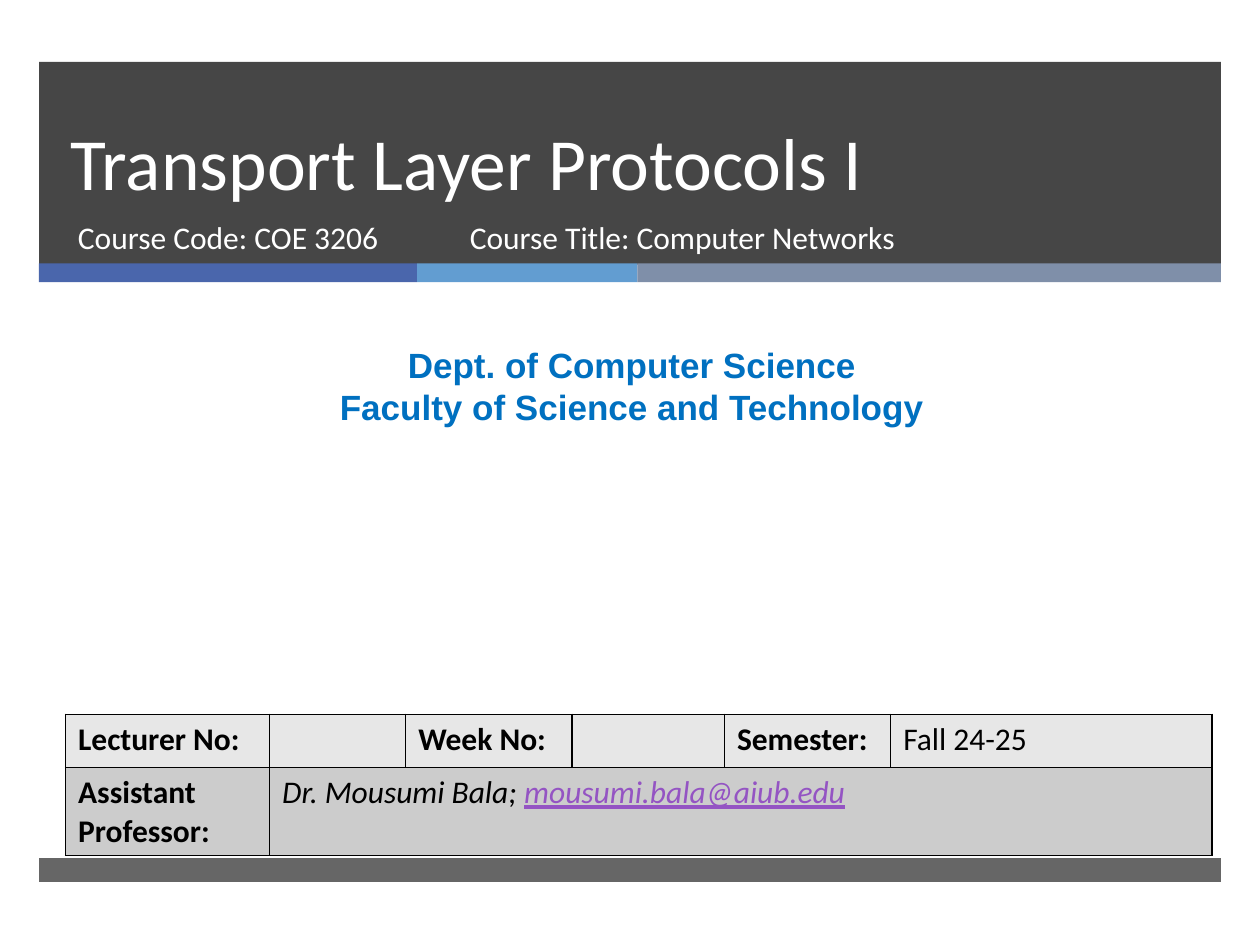
from lxml.etree import SubElement
from pptx import Presentation
from pptx.dml.color import RGBColor
from pptx.enum.shapes import MSO_SHAPE
from pptx.enum.text import MSO_ANCHOR, MSO_AUTO_SIZE, PP_ALIGN
from pptx.oxml.ns import qn
from pptx.util import Inches, Pt

COLORS = {
    "dark": "262626", "indigo": "4A66AC", "sky": "629DD1", "slate": "7F8FA9",
    "white": "FFFFFF", "black": "000000", "department": "0070C0",
    "email": "9454C3", "light_row": "E7E7E7", "dark_row": "CCCCCC",
}
MARGIN = 0.31
BAND_WIDTH = 9.38
STRIPES = [("indigo", 3), ("sky", 1.75), ("slate", 4.63)]
COLUMN_WIDTHS = [1.62, 1.08, 1.32, 1.21, 1.32, 2.55]
ROW_HEIGHTS = [0.42, 0.69]
DETAILS = ["Lecturer No:", "", "Week No:", "", "Semester:", "Fall 24-25"]


def rgb(color):
    return RGBColor.from_string(COLORS[color])


def set_font(font, size, color, name="Calibri", bold=False, italic=False):
    font.name, font.size = name, Pt(size)
    font.bold, font.italic = bold, italic
    font.color.rgb = rgb(color)


def add_band(slide, left, top, width, height, color, opacity=100):
    band = slide.shapes.add_shape(
        MSO_SHAPE.RECTANGLE, *map(Inches, (left, top, width, height)))
    band.shadow.inherit = False
    band.line.fill.background()
    band.fill.solid()
    band.fill.fore_color.rgb = rgb(color)
    if opacity < 100:
        fill_color = band.fill._xPr.find(qn("a:solidFill"))[0]
        SubElement(fill_color, qn("a:alpha"), val=str(opacity * 1000))


def add_bands(slide):
    add_band(slide, MARGIN, 0.49, BAND_WIDTH, 1.61, "dark", 85)
    left = MARGIN
    for color, width in STRIPES:
        add_band(slide, left, 2.09, width, 0.15, color)
        left += width
    add_band(slide, MARGIN, 6.81, BAND_WIDTH, 0.19, "dark", 70)


def place_title(slide, wording):
    title = slide.shapes.title
    title.left, title.top, title.width, title.height = map(
        Inches, (0.46, 0.49, 8.54, 1.19))
    # The title has to lie in front of the dark band.
    slide.shapes._spTree.append(title._element)
    frame = title.text_frame
    frame.text = wording
    frame.auto_size = MSO_AUTO_SIZE.NONE
    frame.vertical_anchor = MSO_ANCHOR.BOTTOM
    heading = frame.paragraphs[0]
    heading.alignment = PP_ALIGN.LEFT
    heading.line_spacing = Pt(46)
    set_font(heading.font, 42, "white")


def add_text(slide, left, top, width, height, lines, align=PP_ALIGN.LEFT, **style):
    frame = slide.shapes.add_textbox(
        *map(Inches, (left, top, width, height))).text_frame
    frame.word_wrap = True
    frame.text = "\n".join(lines)
    for paragraph in frame.paragraphs:
        paragraph.alignment = align
        set_font(paragraph.font, **style)


def add_borders(cell):
    properties = cell._tc.get_or_add_tcPr()
    for position, side in enumerate(("lnL", "lnR", "lnT", "lnB")):
        border = SubElement(properties, qn(f"a:{side}"), w=str(Pt(1)))
        properties.insert(position, border)
        fill = SubElement(border, qn("a:solidFill"))
        SubElement(fill, qn("a:srgbClr"), val=COLORS["black"])


def add_details_table(slide):
    details = slide.shapes.add_table(
        len(ROW_HEIGHTS), len(COLUMN_WIDTHS), Inches(0.52), Inches(5.67),
        Inches(sum(COLUMN_WIDTHS)), Inches(sum(ROW_HEIGHTS))).table
    for column, width in zip(details.columns, COLUMN_WIDTHS):
        column.width = Inches(width)
    for row, height, color in zip(details.rows, ROW_HEIGHTS, ("light_row", "dark_row")):
        row.height = Inches(height)
        for cell in row.cells:
            cell.fill.solid()
            cell.fill.fore_color.rgb = rgb(color)
            add_borders(cell)

    for column, wording in enumerate(DETAILS):
        cell = details.cell(0, column)
        cell.text = wording
        set_font(cell.text_frame.paragraphs[0].font, 18, "black",
                 bold=wording.endswith(":"))

    role = details.cell(1, 0)
    role.text = "Assistant Professor:"
    set_font(role.text_frame.paragraphs[0].font, 18, "black", bold=True)

    lecturer = details.cell(1, 1)
    lecturer.merge(details.cell(1, len(COLUMN_WIDTHS) - 1))
    contact = lecturer.text_frame.paragraphs[0]
    set_font(contact.font, 18, "black", italic=True)
    contact.add_run().text = "Dr. Mousumi Bala; "
    email = contact.add_run()
    email.text = "mousumi.bala@aiub.edu"
    email.font.color.rgb = rgb("email")
    email.font.underline = True


def main():
    deck = Presentation()
    deck.slide_width, deck.slide_height = Inches(10), Inches(7.5)
    slide = deck.slides.add_slide(deck.slide_layouts[5])
    add_bands(slide)
    place_title(slide, "Transport Layer Protocols I")
    add_text(slide, 0.52, 1.68, 3.05, 0.53, ["Course Code: COE 3206"],
             size=18, color="white")
    add_text(slide, 3.63, 1.68, 4.55, 0.53, ["Course Title: Computer Networks"],
             size=18, color="white")
    add_text(slide, 0.08, 2.68, 9.87, 0.77,
             ["Dept. of Computer Science", "Faculty of Science and Technology"],
             PP_ALIGN.CENTER, size=20, color="department", name="Arial", bold=True)
    add_details_table(slide)
    deck.save("out.pptx")


if __name__ == "__main__":
    main()
